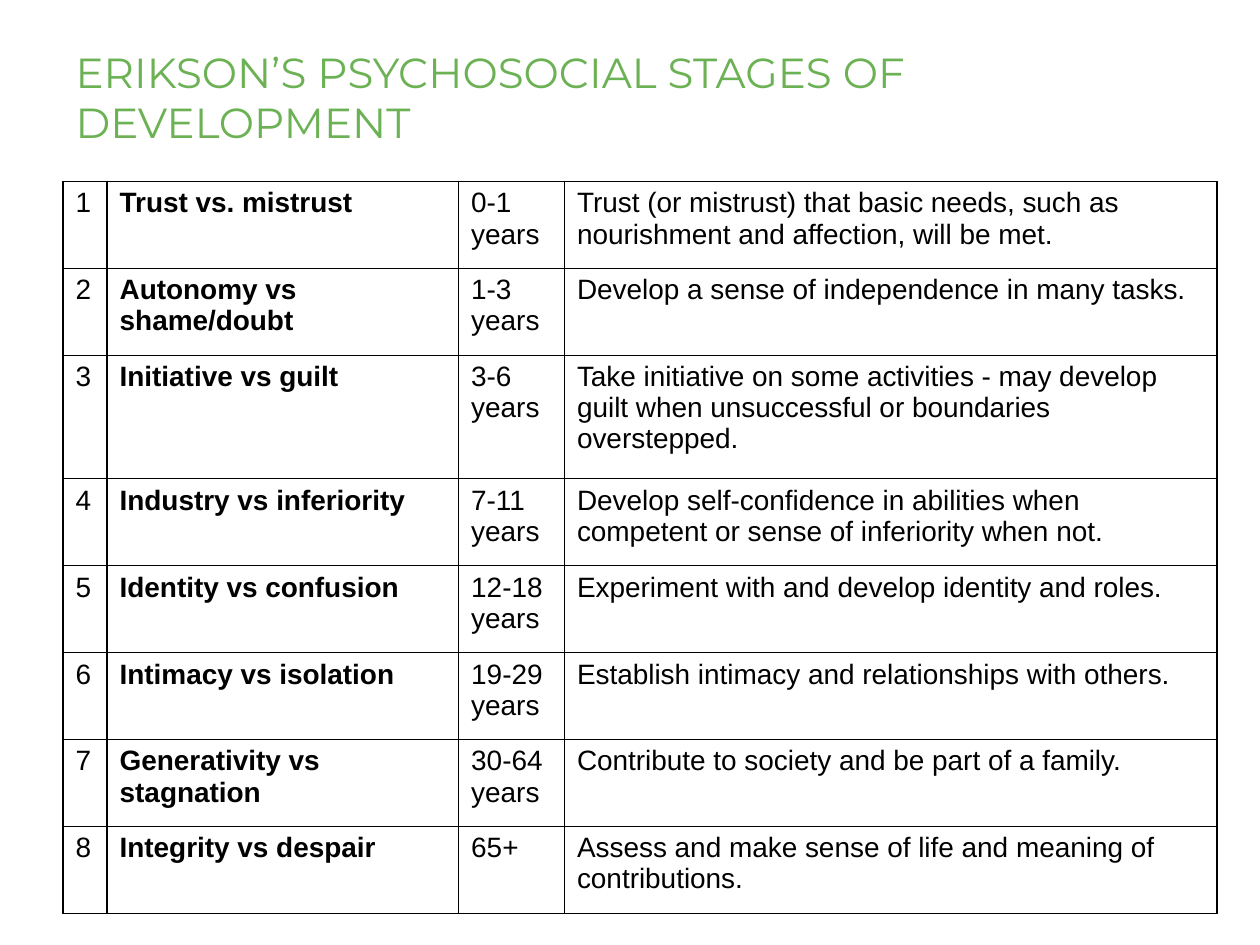
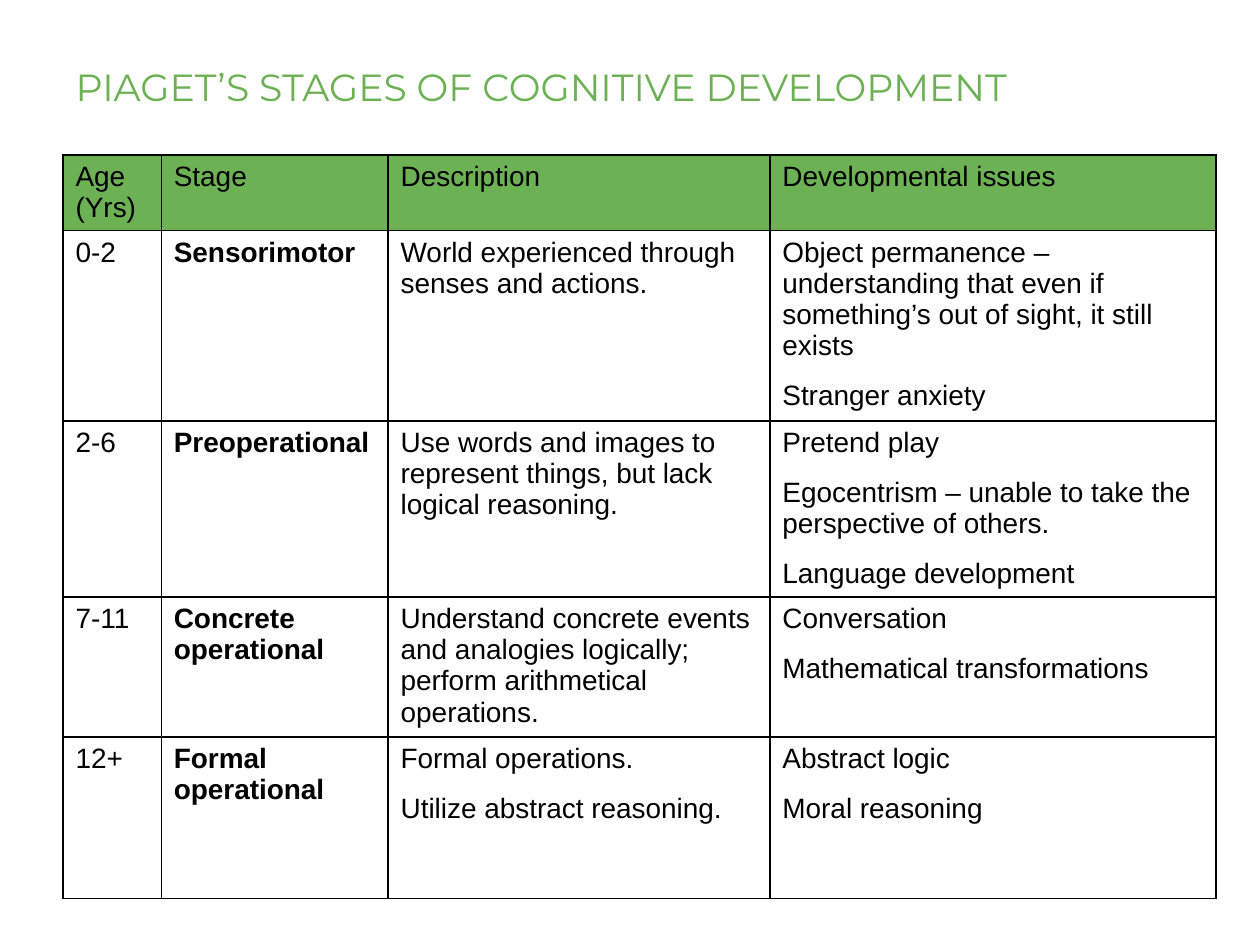
"""Build two slides that tabulate the developmental stages of Erikson and Piaget."""

from dataclasses import dataclass

from lxml import etree
from pptx import Presentation
from pptx.dml.color import RGBColor
from pptx.enum.text import MSO_ANCHOR, MSO_AUTO_SIZE, PP_ALIGN
from pptx.oxml.ns import qn
from pptx.slide import Slide
from pptx.table import _Cell
from pptx.util import Inches, Pt

LEFT = PP_ALIGN.LEFT
BOTTOM = MSO_ANCHOR.BOTTOM
NO_AUTOFIT = MSO_AUTO_SIZE.NONE
TITLE_ONLY = 5
BOLD_COLUMN = 1
BORDER_SIDES = ("a:lnL", "a:lnR", "a:lnT", "a:lnB")


@dataclass(frozen=True)
class Theme:
    """Colours, fonts and type sizes shared by the slides."""

    green: RGBColor = RGBColor(0x6C, 0xB2, 0x55)
    black: RGBColor = RGBColor(0x00, 0x00, 0x00)
    title_font: str = "Montserrat"
    body_font: str = "Arial"
    body_size: Pt = Pt(16)
    paragraph_gap: Pt = Pt(10.8)
    border: Pt = Pt(1)


@dataclass(frozen=True)
class StagePage:
    """A title above a table of stages, with lengths in inches."""

    title: str
    title_size: float
    title_height: float
    table_top: float
    columns: tuple[float, ...]
    row_heights: tuple[float, ...]
    rows: tuple[tuple[str, ...], ...]
    has_header: bool = False


THEME = Theme()
MARGIN = Inches(0.5)
TITLE_TOP = Inches(0.26)
TITLE_WIDTH = Inches(8.82)

ERIKSON = StagePage(
    title="ERIKSON’S PSYCHOSOCIAL STAGES OF DEVELOPMENT",
    title_size=24,
    title_height=0.96,
    table_top=1.44,
    columns=(0.35, 2.79, 0.84, 5.18),
    row_heights=(0.69, 0.69, 0.98) + (0.69,) * 5,
    rows=(
        ("1", "Trust vs. mistrust", "0-1 years",
         "Trust (or mistrust) that basic needs, such as nourishment and affection, will be met."),
        ("2", "Autonomy vs shame/doubt", "1-3 years",
         "Develop a sense of independence in many tasks."),
        ("3", "Initiative vs guilt", "3-6 years",
         "Take initiative on some activities - may develop guilt when unsuccessful "
         "or boundaries overstepped."),
        ("4", "Industry vs inferiority", "7-11 years",
         "Develop self-confidence in abilities when competent or sense of inferiority when not."),
        ("5", "Identity vs confusion", "12-18 years",
         "Experiment with and develop identity and roles."),
        ("6", "Intimacy vs isolation", "19-29 years",
         "Establish intimacy and relationships with others."),
        ("7", "Generativity vs stagnation", "30-64 years",
         "Contribute to society and be part of a family."),
        ("8", "Integrity vs despair", "65+",
         "Assess and make sense of life and meaning of contributions."),
    ),
)

PIAGET = StagePage(
    title="PIAGET’S STAGES OF COGNITIVE DEVELOPMENT",
    title_size=21.6,
    title_height=0.66,
    table_top=1.23,
    columns=(0.78, 1.8, 3.03, 3.54),
    row_heights=(0.6, 1.51, 1.4, 1.11, 1.28),
    rows=(
        ("Age (Yrs)", "Stage", "Description", "Developmental issues"),
        ("0-2", "Sensorimotor", "World experienced through senses and actions.",
         "Object permanence – understanding that even if something’s out of sight, "
         "it still exists\nStranger anxiety"),
        ("2-6", "Preoperational",
         "Use words and images to represent things, but lack logical reasoning.",
         "Pretend play\nEgocentrism – unable to take the perspective of others.\n"
         "Language development"),
        ("7-11", "Concrete operational",
         "Understand concrete events and analogies logically; perform arithmetical operations.",
         "Conversation\nMathematical transformations"),
        ("12+", "Formal operational", "Formal operations.\nUtilize abstract reasoning.",
         "Abstract logic\nMoral reasoning"),
    ),
    has_header=True,
)


def add_title(page: Slide, content: StagePage) -> None:
    """Place and format the title placeholder."""
    box = page.shapes.title
    box.left, box.top = MARGIN, TITLE_TOP
    box.width, box.height = TITLE_WIDTH, Inches(content.title_height)
    frame = box.text_frame
    frame.text = content.title
    frame.word_wrap = True
    frame.auto_size = NO_AUTOFIT
    frame.vertical_anchor = BOTTOM
    para = frame.paragraphs[0]
    para.alignment = LEFT
    font = para.runs[0].font
    font.name, font.size = THEME.title_font, Pt(content.title_size)
    font.color.rgb = THEME.green


def add_borders(cell: _Cell) -> None:
    """Outline all four sides of a cell."""
    properties = cell._tc.get_or_add_tcPr()
    for position, side in enumerate(BORDER_SIDES):
        line = etree.Element(qn(side), w=str(THEME.border))
        fill = etree.SubElement(line, qn("a:solidFill"))
        etree.SubElement(fill, qn("a:srgbClr"), val=str(THEME.black))
        properties.insert(position, line)


def fill_cell(cell: _Cell, text: str, is_header: bool, bold: bool) -> None:
    """Write a cell, one paragraph per line of text."""
    cell.text_frame.text = text
    for index, para in enumerate(cell.text_frame.paragraphs):
        if index:
            para.space_before = THEME.paragraph_gap
        for span in para.runs:
            span.font.name, span.font.size = THEME.body_font, THEME.body_size
            span.font.bold = bold
            span.font.color.rgb = THEME.black
    if is_header:
        cell.fill.solid()
        cell.fill.fore_color.rgb = THEME.green
    else:
        cell.fill.background()
    add_borders(cell)


def add_stage_table(page: Slide, content: StagePage) -> None:
    """Draw the table of stages."""
    table = page.shapes.add_table(
        len(content.rows), len(content.columns), MARGIN, Inches(content.table_top),
        Inches(sum(content.columns)), Inches(sum(content.row_heights)),
    ).table
    table.first_row = content.has_header
    table.horz_banding = False
    for column, width in zip(table.columns, content.columns):
        column.width = Inches(width)
    for row_index, (row, height) in enumerate(zip(table.rows, content.row_heights)):
        row.height = Inches(height)
        is_header = content.has_header and row_index == 0
        for column_index, text in enumerate(content.rows[row_index]):
            bold = column_index == BOLD_COLUMN and not is_header
            fill_cell(row.cells[column_index], text, is_header, bold)


def main() -> None:
    """Build and save the deck."""
    deck = Presentation()
    deck.slide_width, deck.slide_height = Inches(10), Inches(7.5)
    for content in (ERIKSON, PIAGET):
        page = deck.slides.add_slide(deck.slide_layouts[TITLE_ONLY])
        add_title(page, content)
        add_stage_table(page, content)
    deck.save("out.pptx")


if __name__ == "__main__":
    main()
